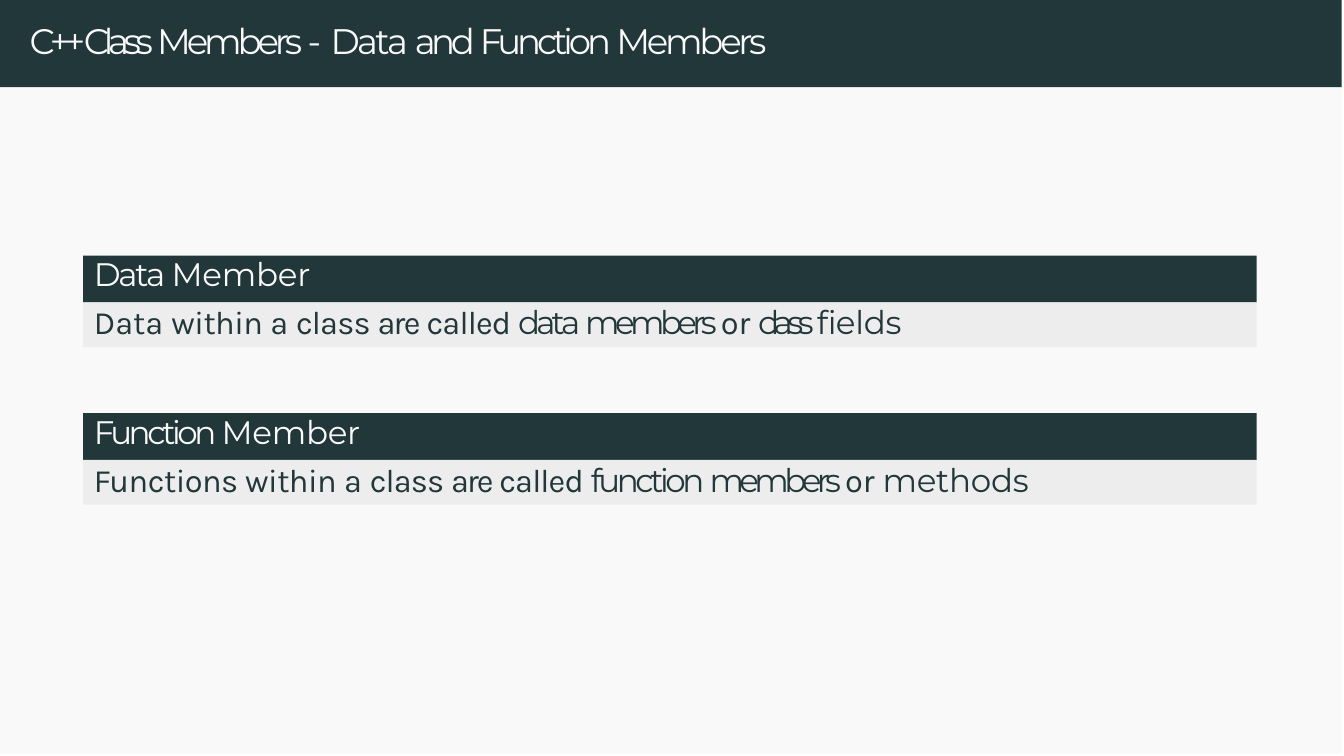
from dataclasses import dataclass
from pptx import Presentation
from pptx.dml.color import RGBColor as RGB
from pptx.enum.shapes import MSO_SHAPE as SHAPE
from pptx.enum.text import MSO_ANCHOR as ANCHOR, PP_ALIGN as ALIGN
from pptx.util import Inches, Pt


@dataclass(frozen=True)
class Theme:
    dark: str = "22373A"
    paper: str = "F9F9F9"
    panel: str = "EDEDED"
    head: str = "Montserrat"
    body: str = "Karla"
    title_size: int = 12
    text_size: int = 11


T = Theme()

TITLE = [("C++ Class ", T.head, -1.8), ("Members ", T.head, -1.4),
         ("- ", T.head, 0), ("Data ", T.head, -0.9), ("and ", T.head, -1.5),
         ("Function ", T.head, -1.4), ("Members", T.head, -1.1)]

BLOCKS = [
    ([("Data ", T.head, -0.8), ("Member", T.head, -0.1)],
     [("Data ", T.body, 0), ("within ", T.body, -0.2), ("a ", T.body, 0),
      ("class ", T.body, -0.3), ("are ", T.body, -0.6),
      ("called ", T.body, -0.3), ("data ", T.head, -1.3),
      ("members ", T.head, -1.6), ("or ", T.body, 0),
      ("class ", T.head, -1.9), ("fields", T.head, -0.1)]),
    ([("Function ", T.head, -1.2), ("Member", T.head, -0.1)],
     [("Functions within ", T.body, -0.2), ("a ", T.body, 0),
      ("class ", T.body, -0.3), ("are ", T.body, -0.7),
      ("called ", T.body, -0.3), ("function ", T.head, -1.2),
      ("members ", T.head, -1.6), ("or ", T.body, 0),
      ("methods", T.head, -0.1)]),
]

PAGE_W, PAGE_H, BAND_H = 6.3, 3.54, 0.41
BLOCK_X, BLOCK_Y, BLOCK_W, BLOCK_STEP = 0.39, 1.2, 5.51, 0.74
HEAD_H, BODY_H = 0.22, 0.21
INDENT = 0.05


def add_bar(s, x, y, w, h, color):
    sp = s.shapes.add_shape(SHAPE.RECTANGLE, Inches(x), Inches(y),
                            Inches(w), Inches(h))
    sp.shadow.inherit = False
    sp.fill.solid()
    sp.fill.fore_color.rgb = RGB.from_string(color)
    sp.line.fill.background()
    return sp


def write(sp, runs, size, color, left, top=0, before=0, leading=None):
    tf = sp.text_frame
    tf.word_wrap = True
    tf.vertical_anchor = ANCHOR.TOP
    tf.margin_left, tf.margin_top = Inches(left), Inches(top)
    tf.margin_right = tf.margin_bottom = 0
    p = tf.paragraphs[0]
    p.alignment = ALIGN.LEFT
    p.space_before = Pt(before)
    if leading:
        p.line_spacing = Pt(leading)
    for text, font, spacing in runs:
        r = p.add_run()
        r.text = text
        r.font.name, r.font.size = font, Pt(size)
        r.font.color.rgb = RGB.from_string(color)
        r._r.get_or_add_rPr().set("spc", str(round(spacing * 100)))


prs = Presentation()
prs.slide_width, prs.slide_height = Inches(6.31), Inches(3.55)
s = prs.slides.add_slide(prs.slide_layouts[6])

add_bar(s, 0, 0, PAGE_W, PAGE_H, T.paper)
add_bar(s, 0, 0, PAGE_W, BAND_H, T.dark)
title = s.shapes.add_textbox(Inches(0.13), Inches(0.08), Inches(4.6), Inches(0.22))
write(title, TITLE, T.title_size, T.paper, 0.01, top=0.01, before=0.9)

for i, (heading, text) in enumerate(BLOCKS):
    y = BLOCK_Y + i * BLOCK_STEP
    head = add_bar(s, BLOCK_X, y, BLOCK_W, HEAD_H, T.dark)
    write(head, heading, T.text_size, T.paper, INDENT, leading=12.7)
    body = add_bar(s, BLOCK_X, y + HEAD_H, BLOCK_W, BODY_H, T.panel)
    write(body, text, T.text_size, T.dark, INDENT, before=0.2)

prs.save("out.pptx")
